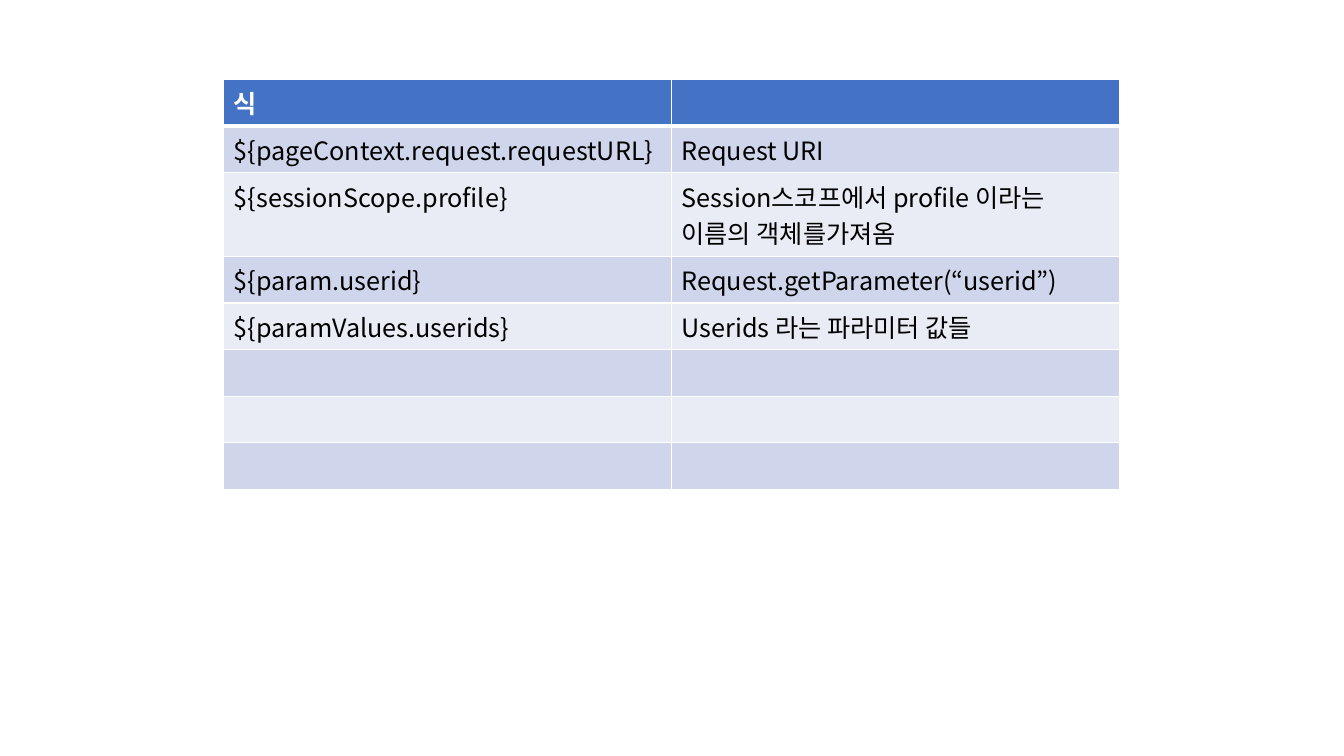
from pptx import Presentation
from pptx.dml.color import RGBColor
from pptx.oxml import ns
from pptx.util import Inches, Pt
from lxml import etree

FONT = "Noto Sans CJK KR"
WHITE = RGBColor(0xFF, 0xFF, 0xFF)
BLACK = RGBColor(0x00, 0x00, 0x00)
HEADER_BLUE = RGBColor(0x44, 0x72, 0xC4)
BAND_DARK = RGBColor(0xCF, 0xD5, 0xEA)
BAND_LIGHT = RGBColor(0xE9, 0xEB, 0xF5)

EXPRESSIONS = [
    ("식", ""),
    ("${pageContext.request.requestURL}", "Request URI"),
    ("${sessionScope.profile}", "Session스코프에서 profile 이라는 이름의 객체를가져옴"),
    ("${param.userid}", "Request.getParameter(“userid”)"),
    ("${paramValues.userids}", "Userids 라는 파라미터 값들"),
    ("", ""),
    ("", ""),
    ("", ""),
]
COLUMN_WIDTH = Inches(4.44)
ROW_HEIGHT = Inches(0.46)
TWO_LINE_HEIGHT = Inches(0.83)
TWO_LINE_ROW = 2


def add_border(cell, side, points):
    properties = cell._tc.get_or_add_tcPr()
    line = etree.SubElement(properties, ns.qn(f"a:ln{side}"), w=str(Pt(points)))
    fill = etree.SubElement(line, ns.qn("a:solidFill"))
    etree.SubElement(fill, ns.qn("a:srgbClr"), val=str(WHITE))


def format_cell(cell, wording, row):
    is_header = row == 0
    # Borders come before the fill in the cell properties
    for side in "LRTB":
        thick = (is_header and side == "B") or (row == 1 and side == "T")
        add_border(cell, side, 3 if thick else 1)
    cell.fill.solid()
    band = BAND_DARK if row % 2 else BAND_LIGHT
    cell.fill.fore_color.rgb = HEADER_BLUE if is_header else band

    # Text, with the same typeface for Latin and Korean
    cell.text = wording
    font = cell.text_frame.paragraphs[0].font
    font.size = Pt(18)
    font.bold = is_header
    font.color.rgb = WHITE if is_header else BLACK
    font.name = FONT
    etree.SubElement(font._element, ns.qn("a:ea"), typeface=FONT)


def add_expression_table(page):
    frame = page.shapes.add_table(
        len(EXPRESSIONS), 2, Inches(2.22), Inches(0.79),
        COLUMN_WIDTH * 2, ROW_HEIGHT * len(EXPRESSIONS))
    table = frame.table
    for column in table.columns:
        column.width = COLUMN_WIDTH
    for row, wordings in enumerate(EXPRESSIONS):
        table.rows[row].height = TWO_LINE_HEIGHT if row == TWO_LINE_ROW else ROW_HEIGHT
        for column, wording in enumerate(wordings):
            format_cell(table.cell(row, column), wording, row)


def main():
    deck = Presentation()
    deck.slide_width = Inches(13.33)
    deck.slide_height = Inches(7.5)
    page = deck.slides.add_slide(deck.slide_layouts[6])
    add_expression_table(page)
    deck.save("out.pptx")


if __name__ == "__main__":
    main()
